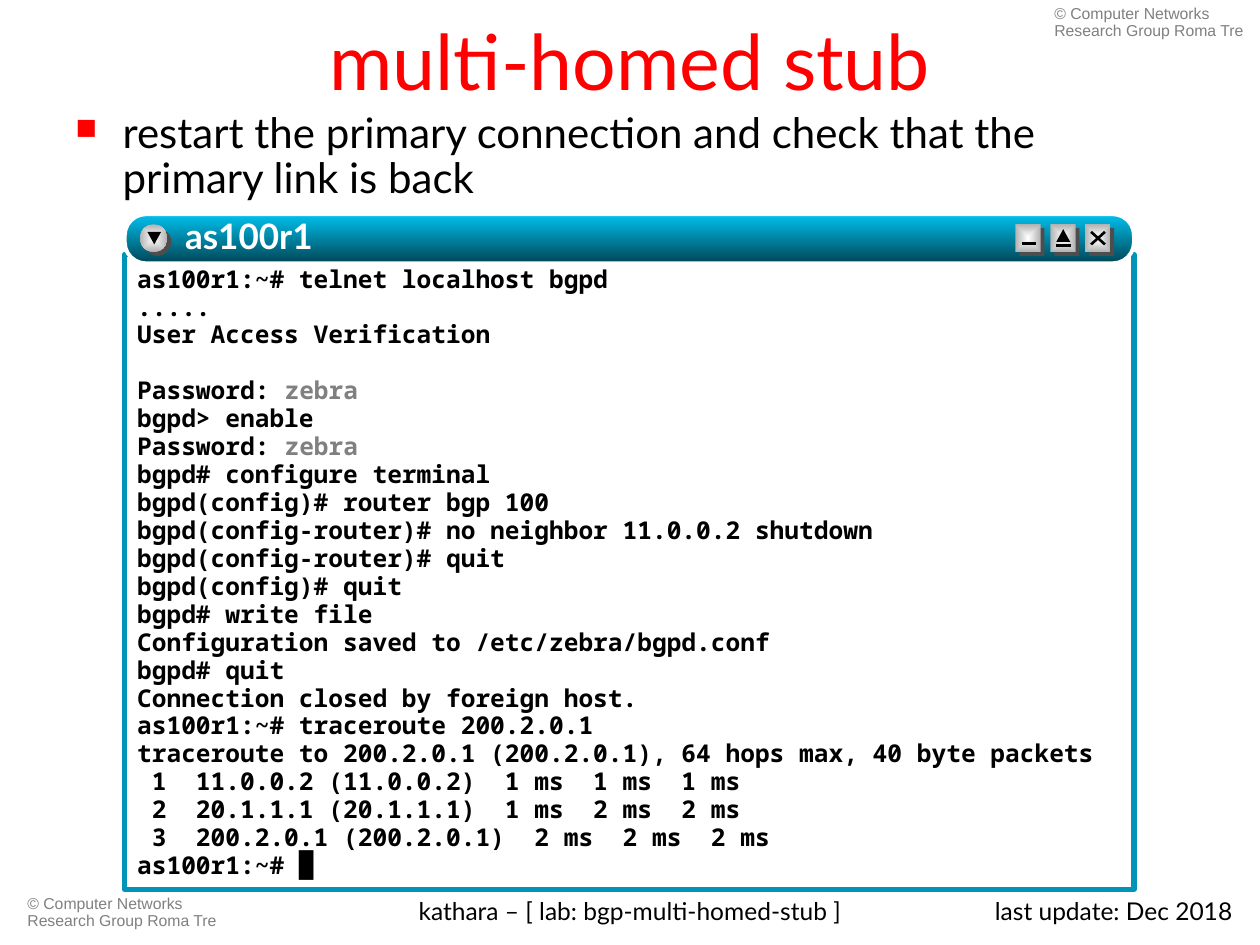
from lxml import etree
from pptx import Presentation
from pptx.dml.color import RGBColor
from pptx.enum.shapes import MSO_CONNECTOR, MSO_SHAPE
from pptx.enum.text import MSO_ANCHOR, PP_ALIGN
from pptx.oxml.ns import qn
from pptx.util import Pt

LEFT, CENTER, RIGHT = PP_ALIGN.LEFT, PP_ALIGN.CENTER, PP_ALIGN.RIGHT
TOP, MIDDLE = MSO_ANCHOR.TOP, MSO_ANCHOR.MIDDLE
RECT, ROUND = MSO_SHAPE.RECTANGLE, MSO_SHAPE.ROUNDED_RECTANGLE
OVAL, TRIANGLE = MSO_SHAPE.OVAL, MSO_SHAPE.ISOSCELES_TRIANGLE
STRAIGHT = MSO_CONNECTOR.STRAIGHT

HEX = {
    "black": "000000", "white": "FFFFFF", "red": "FF0000", "grey": "808080",
    "shade": "4D4D4D", "silver": "B2B2B2", "frame": "0095B8",
    "bar_top": "00C1EE", "bar_bottom": "004656",
}
COLORS = {name: RGBColor.from_string(value) for name, value in HEX.items()}


def add_shape(kind, x, y, w, h, fill, line=None, line_width=0):
    """Add a shape; a pair of colour names as fill gives a gradient."""
    s = slide.shapes.add_shape(kind, Pt(x), Pt(y), Pt(w), Pt(h))
    s.shadow.inherit = False
    if isinstance(fill, tuple):
        s.fill.gradient()
        for stop, name in zip(s.fill.gradient_stops, fill):
            stop.color.rgb = COLORS[name]
    else:
        s.fill.solid()
        s.fill.fore_color.rgb = COLORS[fill]
    if line:
        s.line.color.rgb = COLORS[line]
        s.line.width = Pt(line_width)
    else:
        s.line.fill.background()
    return s


def set_text(s, text, size, color, font="Lato", align=LEFT, anchor=TOP,
             margins=(7.2, 3.6, 7.2, 3.6), spacing=1.0):
    """Fill a shape with one paragraph and return that paragraph."""
    tf = s.text_frame
    tf.word_wrap = True
    tf.vertical_anchor = anchor
    tf.margin_left, tf.margin_top, tf.margin_right, tf.margin_bottom = map(Pt, margins)
    p = tf.paragraphs[0]
    p.text = text
    p.alignment = align
    p.line_spacing = spacing
    p.font.size = Pt(size)
    p.font.name = font
    p.font.color.rgb = COLORS[color]
    return p


prs = Presentation()
prs.slide_width, prs.slide_height = Pt(720), Pt(540)
slide = prs.slides.add_slide(prs.slide_layouts[5])

# Title
title = slide.shapes.title
title.left, title.top, title.width, title.height = Pt(36), Pt(3.6), Pt(648), Pt(61.2)
set_text(title, "multi-homed stub", 44, "red", align=CENTER, anchor=MIDDLE)

# Bullet
s = slide.shapes.add_textbox(Pt(36), Pt(60.5), Pt(648), Pt(62.6))
p = set_text(s, "restart the primary connection and check that the primary link is back",
             24, "black", spacing=0.9)
pPr = p._p.get_or_add_pPr()
pPr.set("marL", str(Pt(27)))
pPr.set("indent", str(-Pt(27)))
bullet = [etree.Element(qn("a:buClr")), etree.Element(qn("a:buSzPct"), val="70000"),
          etree.Element(qn("a:buChar"), char="■")]
etree.SubElement(bullet[0], qn("a:srgbClr"), val=HEX["red"])
for offset, element in enumerate(bullet):
    pPr.insert(1 + offset, element)  # after the line spacing

# Terminal window: (prompt or output, greyed password)
terminal_lines = [
    ("as100r1:~# telnet localhost bgpd", ""),
    (".....", ""),
    ("User Access Verification", ""),
    ("", ""),
    ("Password: ", "zebra"),
    ("bgpd> enable", ""),
    ("Password: ", "zebra"),
    ("bgpd# configure terminal", ""),
    ("bgpd(config)# router bgp 100", ""),
    ("bgpd(config-router)# no neighbor 11.0.0.2 shutdown", ""),
    ("bgpd(config-router)# quit", ""),
    ("bgpd(config)# quit", ""),
    ("bgpd# write file", ""),
    ("Configuration saved to /etc/zebra/bgpd.conf", ""),
    ("bgpd# quit", ""),
    ("Connection closed by foreign host.", ""),
    ("as100r1:~# traceroute 200.2.0.1", ""),
    ("traceroute to 200.2.0.1 (200.2.0.1), 64 hops max, 40 byte packets", ""),
    (" 1  11.0.0.2 (11.0.0.2)  1 ms  1 ms  1 ms", ""),
    (" 2  20.1.1.1 (20.1.1.1)  1 ms  2 ms  2 ms", ""),
    (" 3  200.2.0.1 (200.2.0.1)  2 ms  2 ms  2 ms", ""),
    ("as100r1:~# █", ""),
]
s = add_shape(RECT, 71.3, 145.4, 576.7, 362.9, "white", "frame", 3)
tf = s.text_frame
tf.word_wrap = True
tf.vertical_anchor = TOP
tf.margin_left, tf.margin_top = Pt(7.2), Pt(6.5)
for i, (text, password) in enumerate(terminal_lines):
    p = tf.add_paragraph() if i else tf.paragraphs[0]
    p.alignment = LEFT
    p.line_spacing = 0.95
    p.font.size = Pt(14)
    p.font.name = "Noto Sans Mono"
    p.font.bold = True
    p.font.color.rgb = COLORS["black"]
    if text:
        p.add_run().text = text
    if password:
        r = p.add_run()
        r.text = password
        r.font.color.rgb = COLORS["grey"]

# Title bar
bar = add_shape(ROUND, 71.3, 122.4, 576.7, 28.1, ("bar_top", "bar_bottom"), "white", 2.25)
bar.adjustments[0] = 0.43
bar.fill.gradient_angle = 270

# Window buttons, each with an offset shade behind its face
BUTTON_Y, SHADE = 128.2, 2.2
for kind, x, w in [(OVAL, 79.9, 15.8), (RECT, 580.3, 14.4),
                   (RECT, 600.3, 14.4), (RECT, 620.1, 14.4)]:
    add_shape(kind, x + SHADE, BUTTON_Y + SHADE, w, 15.8, "shade")
    face = add_shape(kind, x, BUTTON_Y, w, 15.8, ("white", "silver"))
    grad = face.fill._fill._gradFill
    grad.remove(grad.find(qn("a:lin")))
    route = etree.SubElement(grad, qn("a:path"))
    route.set("path", "rect")
    etree.SubElement(route, qn("a:fillToRect"), l="50000", t="50000", r="50000", b="50000")

# Button signs
menu = add_shape(TRIANGLE, 84.2, 132.5, 7.9, 7.2, "black")
menu._element.spPr.find(qn("a:xfrm")).set("flipV", "1")
add_shape(TRIANGLE, 603.6, 131, 7.9, 7.2, "black")
for x1, y1, x2, y2 in [(583.9, 139, 591.8, 139), (603.6, 140.4, 611.8, 140.4),
                       (623.5, 139.7, 631.4, 132.5), (623.5, 132.5, 631.4, 139.7)]:
    sign = slide.shapes.add_connector(STRAIGHT, Pt(x1), Pt(y1), Pt(x2), Pt(y2))
    sign.line.color.rgb = COLORS["black"]
    sign.line.width = Pt(1.5)
    etree.SubElement(sign._element.spPr, qn("a:effectLst"))

# Host name with a text shadow
s = slide.shapes.add_textbox(Pt(105.8), Pt(122.4), Pt(187.2), Pt(28.1))
p = set_text(s, "as100r1", 20, "white", margins=(0, 0, 0, 0))
p.font.bold = True
r = p.runs[0]
r.font.color.rgb = COLORS["white"]
effects = etree.SubElement(r.font._element, qn("a:effectLst"))
shadow = etree.SubElement(effects, qn("a:outerShdw"), dist=str(Pt(2)), dir="2700000")
etree.SubElement(shadow, qn("a:srgbClr"), val=HEX["black"])

# Footer and copyright lines
COPYRIGHT = "© Computer Networks Research Group Roma Tre"
for text, x, y, w, size, color, font, align, spacing in [
    (COPYRIGHT, 8.6, 508.3, 124.6, 9, "grey", "Arial", LEFT, 0.9),
    (COPYRIGHT, 595.4, 0, 124.6, 9, "grey", "Arial", LEFT, 0.9),
    ("kathara – [ lab: bgp-multi-homed-stub ]", 184.3, 508.3, 351.4, 14, "black", "Lato", CENTER, 1.0),
    ("last update: Dec 2018", 547.2, 508.3, 164.2, 14, "black", "Lato", RIGHT, 1.0),
]:
    s = slide.shapes.add_textbox(Pt(x), Pt(y), Pt(w), Pt(25.9))
    set_text(s, text, size, color, font, align, spacing=spacing)

prs.save("out.pptx")
